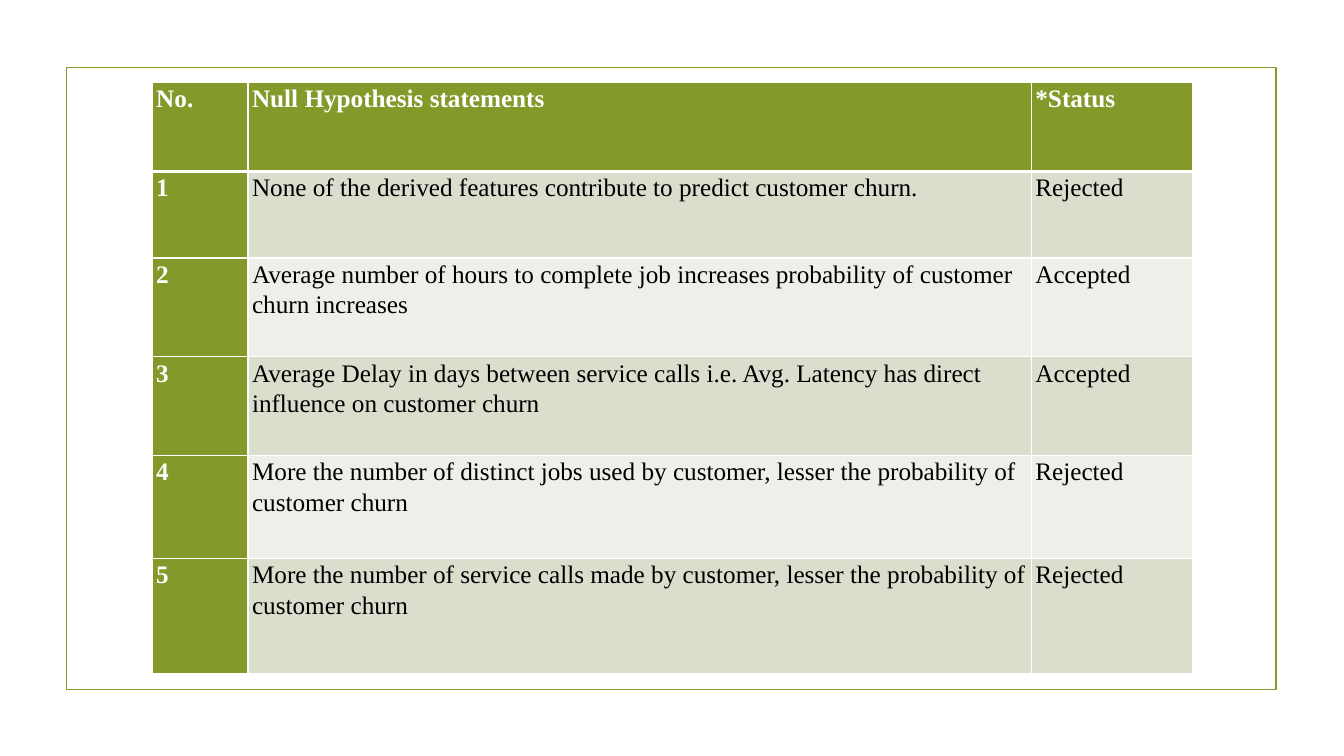
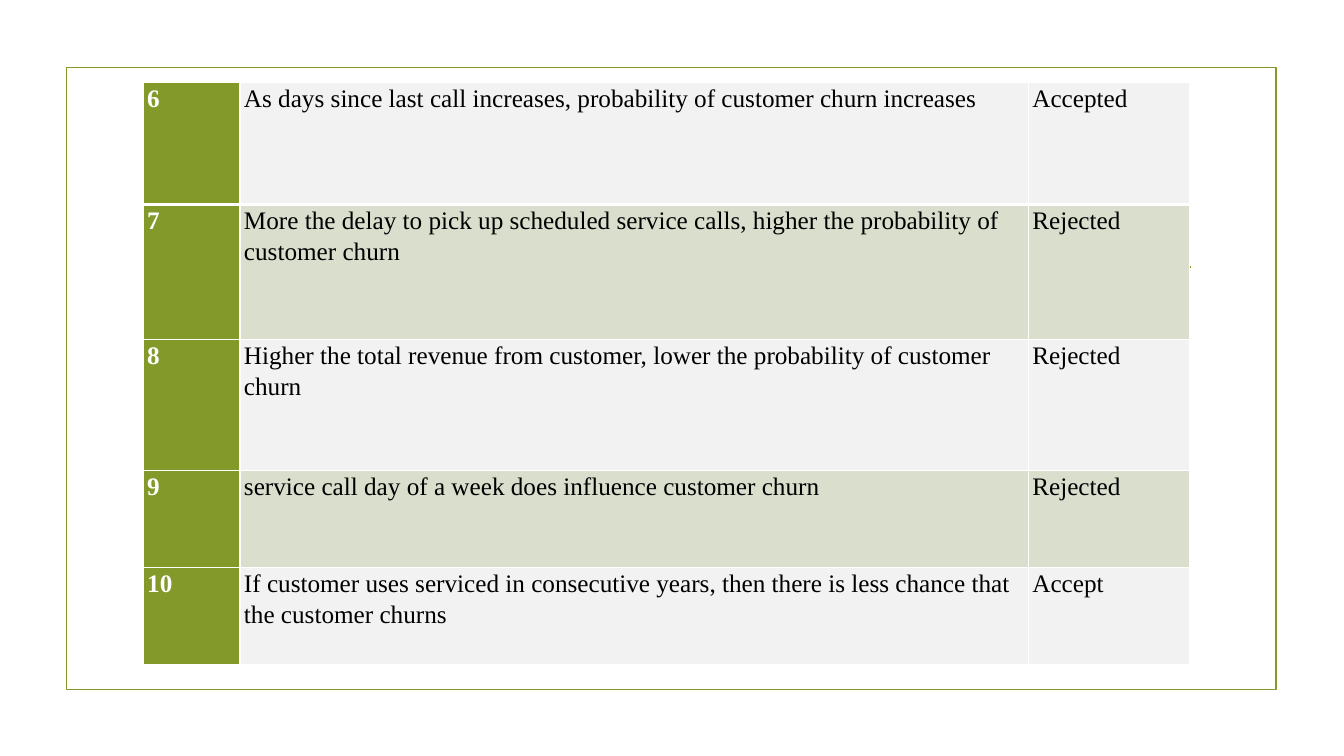
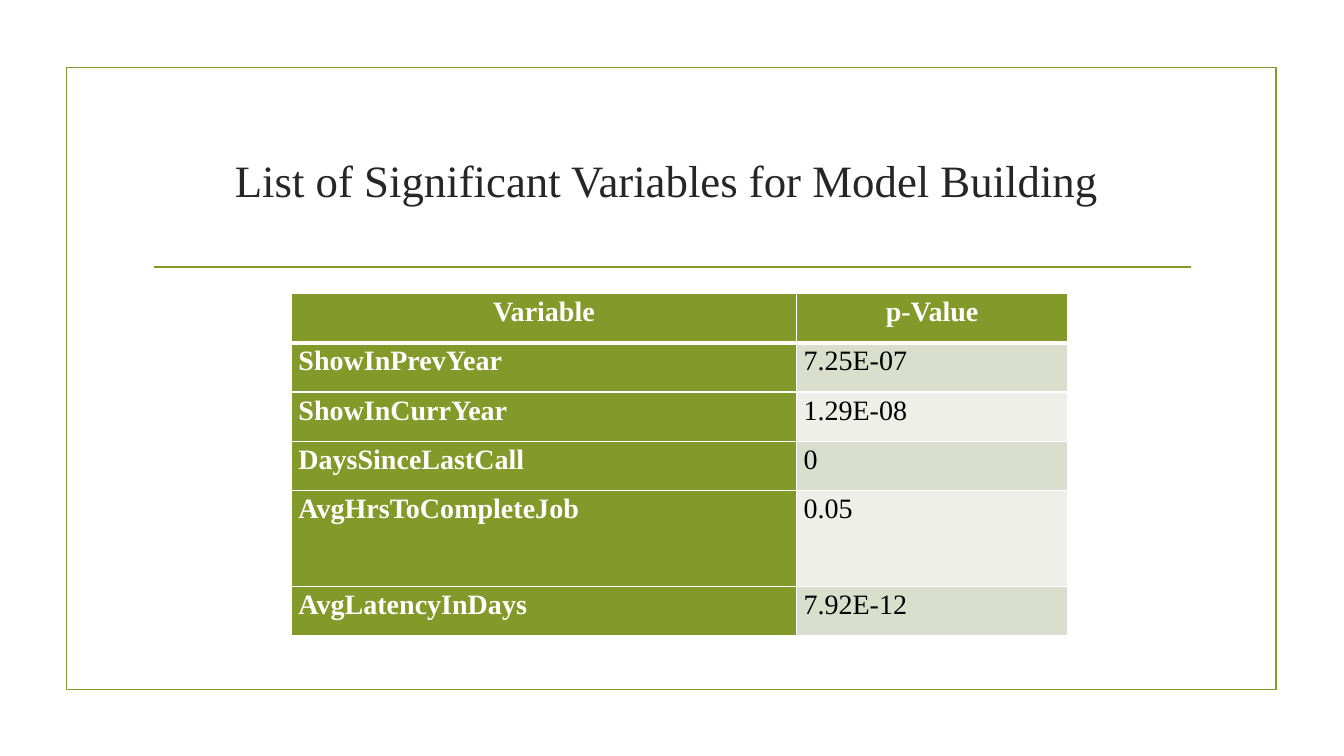
from dataclasses import dataclass

from lxml import etree
from pptx import Presentation
from pptx.dml.color import RGBColor
from pptx.enum.shapes import MSO_CONNECTOR, MSO_SHAPE
from pptx.enum.text import MSO_ANCHOR, PP_ALIGN
from pptx.oxml.ns import qn
from pptx.util import Inches, Pt

RECTANGLE = MSO_SHAPE.RECTANGLE
STRAIGHT = MSO_CONNECTOR.STRAIGHT
LEFT, CENTER = PP_ALIGN.LEFT, PP_ALIGN.CENTER
MIDDLE = MSO_ANCHOR.MIDDLE
TITLE_ONLY, BLANK = 5, 6


@dataclass(frozen=True)
class Theme:
    font: str = "Times New Roman"
    green: str = "83992A"
    white: str = "FFFFFF"
    black: str = "000000"
    title_color: str = "262626"
    band_dark: str = "D9DECD"
    band_light: str = "EDEFE8"
    band_gray: str = "F2F2F2"
    title_size: int = 32
    hypothesis_size: int = 18
    variable_size: int = 20
    outline: float = 1.25
    grid: int = 1
    first_row_rule: int = 3


THEME = Theme()

HYPOTHESES_1_TO_5 = [
    ("No.", "Null Hypothesis statements", "*Status"),
    ("1", "None of the derived features contribute to predict customer churn.", "Rejected"),
    ("2", "Average number of hours to complete job increases probability of customer "
          "churn increases", "Accepted"),
    ("3", "Average Delay in days between service calls i.e. Avg. Latency has direct "
          "influence on customer churn", "Accepted"),
    ("4", "More the number of distinct jobs used by customer, lesser the probability of "
          "customer churn", "Rejected"),
    ("5", "More the number of service calls made by customer, lesser the probability of "
          "customer churn", "Rejected"),
]
HYPOTHESES_6_TO_10 = [
    ("6", "As days since last call increases, probability of customer churn increases",
     "Accepted"),
    ("7", "More the delay to pick up scheduled service calls, higher the probability of "
          "customer churn", "Rejected"),
    ("8", "Higher the total revenue from customer, lower the probability of customer churn",
     "Rejected"),
    ("9", "service call day of a week does influence customer churn", "Rejected"),
    ("10", "If customer uses serviced in consecutive years, then there is less chance that "
           "the customer churns", "Accept"),
]
SIGNIFICANT_VARIABLES = [
    ("Variable", "p-Value"),
    ("ShowInPrevYear", "7.25E-07"),
    ("ShowInCurrYear", "1.29E-08"),
    ("DaysSinceLastCall", "0"),
    ("AvgHrsToCompleteJob", "0.05"),
    ("AvgLatencyInDays", "7.92E-12"),
]


def rgb(color):
    return RGBColor.from_string(color)


def set_font(paragraph, size, color, bold=False):
    font = paragraph.font
    font.name, font.size, font.bold = THEME.font, Pt(size), bold
    font.color.rgb = rgb(color)


def add_frame(slide):
    """Draw the border and the title rule that every slide shares."""
    frame = slide.shapes.add_shape(
        RECTANGLE, Inches(0.66), Inches(0.67), Inches(12), Inches(6.17))
    frame.shadow.inherit = False
    frame.fill.background()
    rule = slide.shapes.add_connector(
        STRAIGHT, Inches(1.53), Inches(2.65), Inches(11.81), Inches(2.65))
    etree.SubElement(rule.element.spPr, qn("a:effectLst"))
    for outlined in (frame, rule):
        outlined.line.color.rgb = rgb(THEME.green)
        outlined.line.width = Pt(THEME.outline)


def add_framed_slide(prs, layout):
    slide = prs.slides.add_slide(prs.slide_layouts[layout])
    add_frame(slide)
    return slide


def set_borders(cell, top, bottom):
    """Give the cell white borders; call before filling, as the schema wants lines first."""
    properties = cell._tc.get_or_add_tcPr()
    widths = {"L": THEME.grid, "R": THEME.grid, "T": top, "B": bottom}
    for side, width in widths.items():
        line = etree.SubElement(properties, qn(f"a:ln{side}"), w=str(Pt(width)))
        fill = etree.SubElement(line, qn("a:solidFill"))
        etree.SubElement(fill, qn("a:srgbClr"), val=THEME.white)


def add_banded_table(slide, left, top, widths, heights, rows, bands, size, inset,
                     has_header=True, header_align=LEFT):
    """Add a table with a green key column; bands are the fills of body rows in turn."""
    graphic = slide.shapes.add_table(
        len(rows), len(widths), Inches(left), Inches(top),
        Inches(sum(widths)), Inches(sum(heights)))
    table = graphic.table
    table.first_row = has_header
    table.first_col = True
    for column, width in zip(table.columns, widths):
        column.width = Inches(width)
    for row, height in zip(table.rows, heights):
        row.height = Inches(height)

    for r, texts in enumerate(rows):
        is_header = has_header and r == 0
        band = bands[(r - has_header) % len(bands)]
        for c, text in enumerate(texts):
            cell = table.cell(r, c)
            is_key = is_header or c == 0
            set_borders(cell,
                        top=THEME.first_row_rule if r == 1 else THEME.grid,
                        bottom=THEME.first_row_rule if r == 0 else THEME.grid)
            cell.fill.solid()
            cell.fill.fore_color.rgb = rgb(THEME.green if is_key else band)
            cell.margin_left = cell.margin_right = Inches(inset)
            cell.margin_top = cell.margin_bottom = 0
            cell.text = text
            paragraph = cell.text_frame.paragraphs[0]
            paragraph.line_spacing = 1.1
            paragraph.alignment = header_align if is_header else LEFT
            set_font(paragraph, size, THEME.white if is_key else THEME.black, is_key)


def format_title(slide, text):
    title = slide.shapes.title
    title.left, title.top = Inches(1.42), Inches(1.07)
    title.width, title.height = Inches(10.5), Inches(1.43)
    title.text_frame.text = text
    title.text_frame.vertical_anchor = MIDDLE
    paragraph = title.text_frame.paragraphs[0]
    paragraph.alignment = CENTER
    set_font(paragraph, THEME.title_size, THEME.title_color)


def build_first_hypotheses(prs):
    add_banded_table(
        add_framed_slide(prs, BLANK), 1.51, 0.82,
        widths=[0.95, 7.77, 1.6], heights=[0.88, 0.86, 0.98, 0.98, 1.02, 1.14],
        rows=HYPOTHESES_1_TO_5, bands=(THEME.band_dark, THEME.band_light),
        size=THEME.hypothesis_size, inset=0.04)


def build_further_hypotheses(prs):
    add_banded_table(
        add_framed_slide(prs, BLANK), 1.42, 0.82,
        widths=[0.96, 7.82, 1.6], heights=[1.21, 1.34, 1.3, 0.96, 0.96],
        rows=HYPOTHESES_6_TO_10, bands=(THEME.band_gray, THEME.band_dark),
        size=THEME.hypothesis_size, inset=0.04, has_header=False)


def build_significant_variables(prs):
    slide = add_framed_slide(prs, TITLE_ONLY)
    format_title(slide, "List of Significant Variables for Model Building ")
    add_banded_table(
        slide, 2.89, 2.91,
        widths=[5.01, 2.69], heights=[0.49, 0.49, 0.49, 0.49, 0.95, 0.49],
        rows=SIGNIFICANT_VARIABLES, bands=(THEME.band_dark, THEME.band_light),
        size=THEME.variable_size, inset=0.07, header_align=CENTER)


def main():
    prs = Presentation()
    prs.slide_width, prs.slide_height = Inches(13.33), Inches(7.5)
    build_first_hypotheses(prs)
    build_further_hypotheses(prs)
    build_significant_variables(prs)
    prs.save("out.pptx")


if __name__ == "__main__":
    main()
